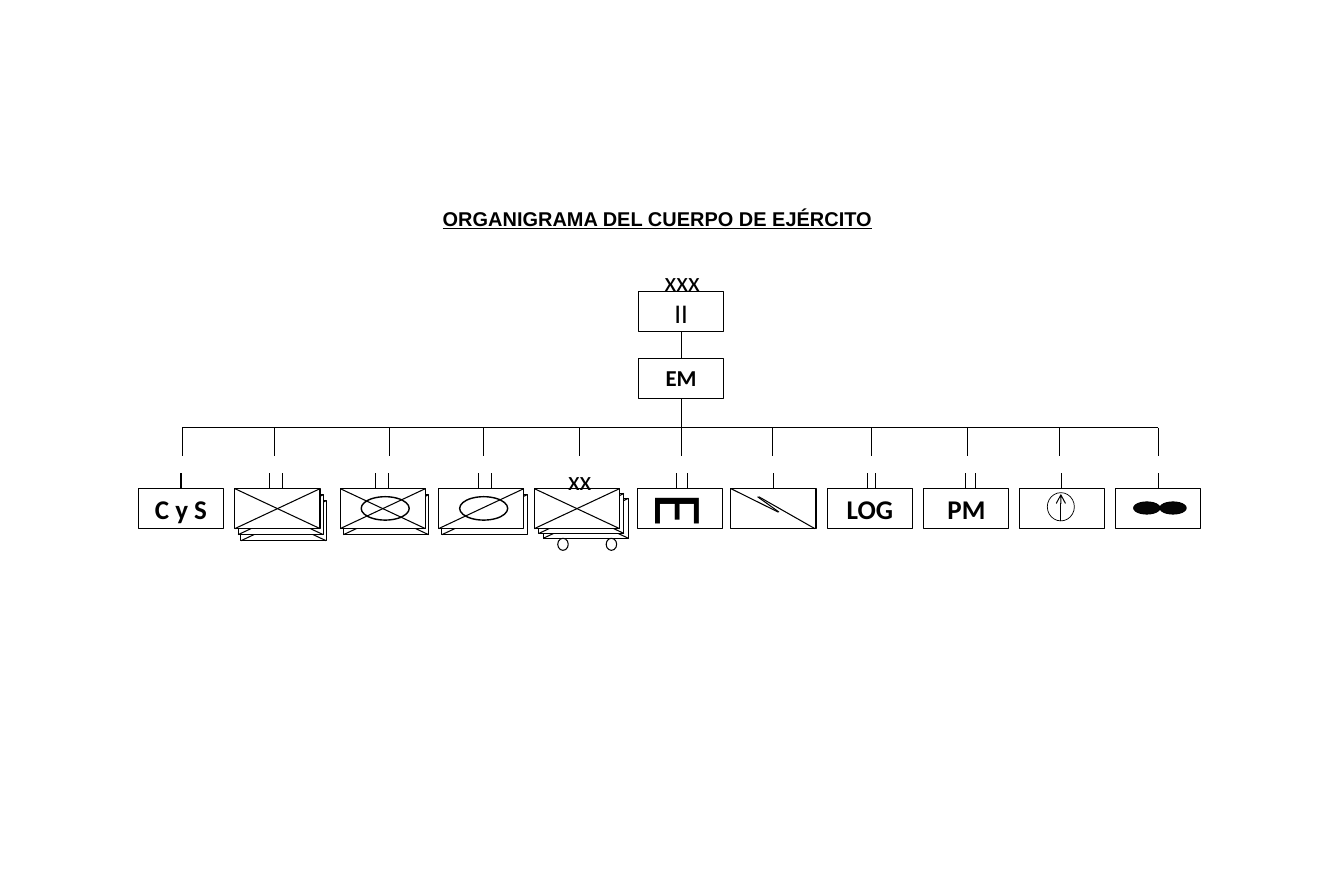
from pptx import Presentation
from pptx.dml.color import RGBColor
from pptx.enum.shapes import MSO_CONNECTOR, MSO_SHAPE
from pptx.enum.text import MSO_ANCHOR, MSO_AUTO_SIZE, PP_ALIGN
from pptx.oxml.ns import qn
from pptx.util import Cm, Pt
from lxml.etree import SubElement

BLACK = RGBColor(0, 0, 0)
WHITE = RGBColor(255, 255, 255)
NEAR_BLACK = RGBColor(5, 5, 5)

# All lengths are in centimetres.
SLIDE_W, SLIDE_H = 33.3, 21.61
BOX_W, BOX_H = 2.11, 0.99
STAFF_LEFT, COMMAND_TOP, STAFF_TOP = 15.82, 7.23, 8.89
BUS_Y, DROP_END = 10.6, 11.3
TICK_TOP, UNIT_TOP = 11.73, 12.11

# Lines and ellipses inside a unit are measured from its top left corner.
RISING = (BOX_W, 0, 0, BOX_H)
FALLING = (BOX_W, BOX_H, 0, 0)
CROSS = [RISING, FALLING]
BOLT = [(1.17, 0.58, 0, 0), (2.08, 0.99, 0.69, 0.2), (1.19, 0.58, 0.66, 0.2)]
ARMOUR = (0.52, 0.2, 1.19, 0.58, None, 1)
WHEELS = [(x, 1.23, 0.26, 0.3, None, 0.75) for x in (0.58, 1.78)]
GOGGLES = [(x, 0.33, 0.65, 0.3, NEAR_BLACK, 0.75) for x in (1.1, 0.45)]
COMPASS = (0.7, 0.1, 0.67, 0.7, WHITE, 0.5)

# left, drop x, paired tick xs ("centre" = one joined tick), label,
# offsets of stacked boxes, lines, ellipses
UNITS = [
    (3.43, 4.52, "centre", "C y S", [], [], []),
    (5.82, 6.81, (6.68, 7.0), "", [(0.15, 0.3), (0.08, 0.15)], CROSS, []),
    (8.43, 9.65, (9.3, 9.63), "", [(0.08, 0.15)], CROSS, [ARMOUR]),
    (10.87, 11.99, (11.86, 12.18), "", [(0.08, 0.15)], [RISING], [ARMOUR]),
    (13.24, 14.35, (), "", [(0.22, 0.24), (0.11, 0.12)], CROSS, WHEELS),
    (15.8, 16.88, (16.76, 17.04), "", [], [], []),
    (18.11, 19.15, "centre", "", [], BOLT, []),
    (20.5, 21.59, (21.49, 21.69), "LOG", [], [], []),
    (22.89, 23.98, (23.93, 24.16), "PM", [], [], []),
    (25.25, 26.26, "centre", "", [], [], [COMPASS]),
    (27.64, 28.7, "centre", "", [], [], GOGGLES),
]

# text, left, top, width, height, size, font, alignment, rotation
TEXTS = [
    ("ORGANIGRAMA DEL CUERPO DE EJÉRCITO", 10.72, 4.98, 11.23, 0.86, 14, "Arial", PP_ALIGN.LEFT, 0),
    ("xxx", 16.03, 6.43, 1.75, 1.07, 19, "Calibri", PP_ALIGN.CENTER, 0),
    ("xx", 13.49, 11.35, 1.75, 1.07, 19, "Calibri", PP_ALIGN.CENTER, 0),
    ("E", 16.41, 11.3, 0.97, 2.31, 48, "Calibri", PP_ALIGN.LEFT, 90),
]


def write(shape, text, size, font="Calibri", bold=False, align=PP_ALIGN.CENTER):
    p = shape.text_frame.paragraphs[0]
    p.text, p.alignment = text, align
    f = p.runs[0].font
    f.name, f.size, f.bold = font, Pt(size), bold
    f.color.rgb = BLACK


def add_figure(s, kind, left, top, width, height, fill=WHITE, weight=0.75):
    """Add an outlined shape; a fill of None leaves it transparent."""
    sp = s.shapes.add_shape(kind, Cm(left), Cm(top), Cm(width), Cm(height))
    sp.shadow.inherit = False
    if fill is None:
        sp.fill.background()
    else:
        sp.fill.solid()
        sp.fill.fore_color.rgb = fill
    sp.line.color.rgb = BLACK
    sp.line.width = Pt(weight)
    return sp


def add_box(s, left, top):
    return add_figure(s, MSO_SHAPE.RECTANGLE, left, top, BOX_W, BOX_H)


def add_line(s, x1, y1, x2, y2):
    line = s.shapes.add_connector(MSO_CONNECTOR.STRAIGHT, Cm(x1), Cm(y1), Cm(x2), Cm(y2))
    line.line.color.rgb = BLACK
    line.line.width = Pt(0.75)
    SubElement(line._element.spPr, qn("a:effectLst"))
    return line


def add_command(s):
    """Add the command and staff boxes and the line down to the bus."""
    command = add_box(s, STAFF_LEFT, COMMAND_TOP)
    staff = add_box(s, STAFF_LEFT, STAFF_TOP)
    write(command, "II", 19)
    write(staff, "EM", 16, bold=True)
    for box in (command, staff):
        box.text_frame.vertical_anchor = MSO_ANCHOR.TOP
    x = STAFF_LEFT + BOX_W / 2
    link = add_line(s, x, COMMAND_TOP + BOX_H, x, STAFF_TOP)
    link.begin_connect(command, 2)
    link.end_connect(staff, 0)
    add_line(s, x, STAFF_TOP + BOX_H, x, BUS_Y).begin_connect(staff, 2)


def add_unit(s, left, drop_x, ticks, label, stack, lines, ellipses):
    add_line(s, drop_x, BUS_Y, drop_x, DROP_END)
    for dx, dy in stack + [(0, 0)]:
        x, y = left + dx, UNIT_TOP + dy
        box = add_box(s, x, y)
        for x1, y1, x2, y2 in lines:
            add_line(s, x + x1, y + y1, x + x2, y + y2)
    if label:
        write(box, label, 19, bold=True)
        box.text_frame.word_wrap = label != "C y S"
    if ticks == "centre":
        x = left + BOX_W / 2
        add_line(s, x, TICK_TOP, x, UNIT_TOP).end_connect(box, 0)
    else:
        for x in ticks:
            add_line(s, x, TICK_TOP, x, UNIT_TOP)
    for dx, dy, width, height, fill, weight in ellipses:
        add_figure(s, MSO_SHAPE.OVAL, left + dx, UNIT_TOP + dy, width, height, fill, weight)
        if fill == WHITE:
            x = left + dx + width / 2
            needle = add_line(s, x, UNIT_TOP + dy + height, x, UNIT_TOP + dy + 0.03)
            SubElement(needle.line._get_or_add_ln(), qn("a:tailEnd"), type="arrow")


def add_text(s, text, left, top, width, height, size, font, align, rotation):
    tb = s.shapes.add_textbox(Cm(left), Cm(top), Cm(width), Cm(height))
    tb.rotation = rotation
    is_title = font == "Arial"
    tf = tb.text_frame
    tf.word_wrap = not is_title
    tf.auto_size = MSO_AUTO_SIZE.SHAPE_TO_FIT_TEXT
    write(tb, text, size, font, is_title, align)
    if is_title:
        tf.vertical_anchor = MSO_ANCHOR.MIDDLE
        tf.paragraphs[0].runs[0].font.underline = True


def main():
    prs = Presentation()
    prs.slide_width, prs.slide_height = Cm(SLIDE_W), Cm(SLIDE_H)
    s = prs.slides.add_slide(prs.slide_layouts[6])
    add_command(s)
    add_line(s, UNITS[0][1], BUS_Y, UNITS[-1][1], BUS_Y)
    for unit in UNITS:
        add_unit(s, *unit)
    for text in TEXTS:
        add_text(s, *text)
    prs.save("out.pptx")


if __name__ == "__main__":
    main()
